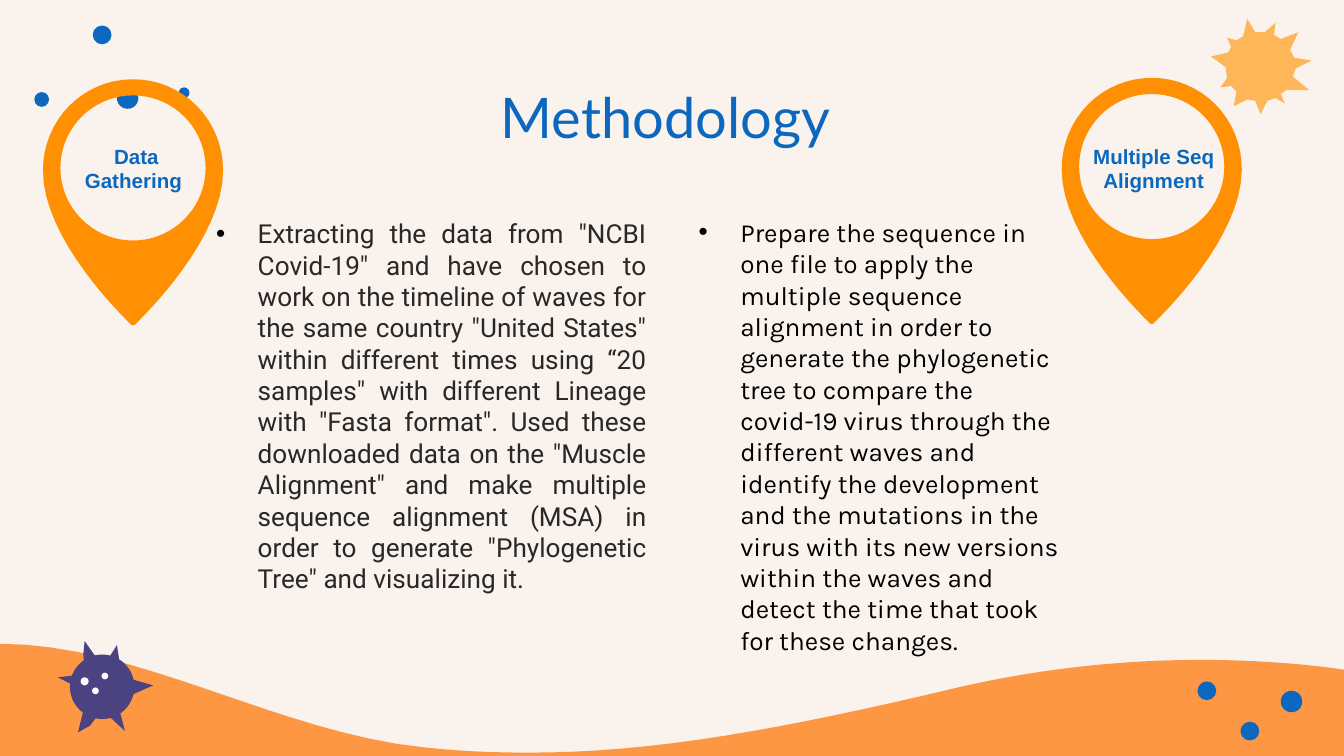
from dataclasses import dataclass
from math import cos, pi, sin

from lxml.etree import SubElement
from pptx import Presentation
from pptx.dml.color import RGBColor as Rgb
from pptx.enum.shapes import MSO_SHAPE as Kind
from pptx.enum.text import MSO_ANCHOR as Anchor, MSO_AUTO_SIZE as Fit, PP_ALIGN as Align
from pptx.oxml.ns import qn
from pptx.util import Inches, Pt

Point = tuple[float, float]

HUES = {
    "cream": "FAF2EC", "wave": "FE9744", "sun": "FFB659", "blue": "0B68BE",
    "virus": "4B4381", "white": "FFFFFF", "pin": "FF9003", "gray": "292828",
    "black": "000000",
}


@dataclass
class Dot:
    x: float
    y: float
    size: float
    hue: str = "blue"


@dataclass
class Label:
    text: str
    x: float
    y: float
    wide: float
    high: float
    font: str
    size: float
    hue: str
    align: Align = Align.CENTER
    bold: bool = False
    bullet: bool = False
    title: bool = False


DOTS = [
    Dot(0.31, 0.74, 0.11), Dot(0.76, 0.26, 0.14), Dot(0.95, 0.73, 0.16),
    Dot(1.37, 0.69, 0.08), Dot(9.3, 5.44, 0.14), Dot(9.61, 5.22, 0.16),
    Dot(8.98, 5.14, 0.14),
]
BODY = Dot(0.76, 5.11, 0.48, "virus")
SPOTS = [
    Dot(0.63, 5.07, 0.06, "white"), Dot(0.78, 5.03, 0.05, "white"),
    Dot(0.71, 5.14, 0.05, "white"),
]
SPIKES = [
    [(0.63, 4.77), (0.62, 4.87), (0.63, 4.98), (0.75, 4.94)],
    [(0.88, 5.25), (0.78, 5.3), (0.93, 5.44)],
    [(0.6, 5.02), (0.43, 5.04), (0.57, 5.11)],
    [(0.63, 5.25), (0.58, 5.45), (0.67, 5.4), (0.73, 5.32)],
    [(0.87, 4.8), (0.8, 4.91), (0.89, 4.93)],
    [(0.93, 5.04), (0.96, 5.18), (1.14, 5.1)],
]
SUN = [
    (9.66, 0.24), (9.6, 0.37), (9.63, 0.43), (9.76, 0.45), (9.64, 0.51),
    (9.62, 0.57), (9.74, 0.67), (9.57, 0.67), (9.53, 0.7), (9.56, 0.77),
    (9.49, 0.73), (9.43, 0.75), (9.38, 0.85), (9.34, 0.75), (9.28, 0.74),
    (9.18, 0.79), (9.2, 0.68), (9.16, 0.64), (9.08, 0.65), (9.13, 0.58),
    (9.12, 0.5), (9.01, 0.42), (9.14, 0.39), (9.16, 0.35), (9.13, 0.28),
    (9.2, 0.3), (9.25, 0.27), (9.28, 0.14), (9.34, 0.24), (9.41, 0.24),
    (9.49, 0.17), (9.48, 0.26), (9.53, 0.29),
]
CREST = [
    (0, 4.79), (1.03, 4.79), (2.07, 5.45), (3.15, 5.56), (3.42, 5.59),
    (3.68, 5.6), (3.94, 5.6), (4.86, 5.6), (5.81, 5.43), (7.15, 5.11),
    (7.81, 4.96), (8.42, 4.91), (8.93, 4.91), (9.51, 4.91), (9.96, 4.97),
    (10.16, 5.01),
]
SIDE = [
    (0, 0), (-0.37, 0), (-0.67, 0.3), (-0.67, 0.68), (-0.67, 1.19),
    (-0.08, 1.76), (-0.01, 1.83),
]
PINS = [(0.99, 0.59), (8.57, 0.58)]

LEFT = (
    'Extracting the data from "NCBI Covid-19" and have chosen to work on the '
    'timeline of waves for the same country "United States" within different '
    'times using “20 samples" with different Lineage with "Fasta format". Used '
    'these downloaded data on the "Muscle Alignment" and make multiple sequence '
    'alignment (MSA) in order to generate "Phylogenetic Tree" and visualizing it.'
)
RIGHT = (
    "Prepare the sequence in one file to apply the multiple sequence alignment "
    "in order to generate the phylogenetic tree to compare the covid-19 virus "
    "through the different waves and identify the development and the mutations "
    "in the virus with its new versions within the waves and detect the time "
    "that took for these changes."
)
LABELS = [
    Label("Methodology ", 1.41, 0.59, 7.18, 0.55, "Lato", 30, "blue", title=True),
    Label("Multiple Seq Alignment", 8, 1.02, 1.17, 0.47, "Arial", 11, "blue", bold=True),
    Label("Data Gathering ", 0.43, 1.02, 1.17, 0.47, "Arial", 11, "blue", bold=True),
    Label(LEFT, 1.51, 1.57, 3.4, 2.93, "Roboto", 14, "gray", Align.JUSTIFY, bullet=True),
    Label(RIGHT, 5.1, 1.56, 2.98, 3.16, "Karla", 14, "black", Align.LEFT, bullet=True),
]


def color(hue: str) -> Rgb:
    return Rgb.from_string(HUES[hue])


def paint(shape, hue: str) -> None:
    shape.shadow.inherit = False
    shape.fill.solid()
    shape.fill.fore_color.rgb = color(hue)
    shape.line.fill.background()


def curve(knots: list[Point], steps: int = 16) -> list[Point]:
    points = [knots[0]]
    for i in range(0, len(knots) - 1, 3):
        for k in range(1, steps + 1):
            t = k / steps
            parts = ((1 - t) ** 3, 3 * t * (1 - t) ** 2, 3 * t * t * (1 - t), t ** 3)
            points.append(tuple(
                sum(w * p[axis] for w, p in zip(parts, knots[i:i + 4])) for axis in (0, 1)
            ))
    return points


def draw_form(slide, rings: list[list[Point]], hue: str) -> None:
    rings = [[(Inches(x), Inches(y)) for x, y in ring] for ring in rings]
    pen = slide.shapes.build_freeform(*rings[0][0])
    for i, ring in enumerate(rings):
        if i:
            pen.move_to(*ring[0])
        pen.add_line_segments(ring[1:], close=True)
    paint(pen.convert_to_shape(), hue)


def draw_dot(slide, dot: Dot) -> None:
    half = dot.size / 2
    shape = slide.shapes.add_shape(
        Kind.OVAL, Inches(dot.x - half), Inches(dot.y - half),
        Inches(dot.size), Inches(dot.size))
    paint(shape, dot.hue)


def draw_pin(slide, x: float, y: float) -> None:
    half = curve(SIDE)
    edge = half + [(-a, b) for a, b in reversed(half[1:])]
    turns = [2 * pi * i / 72 for i in range(72)]
    hole = [(0.54 * cos(t), 0.66 + 0.54 * sin(t)) for t in turns]
    draw_form(slide, [[(x + a, y + b) for a, b in ring] for ring in (edge, hole)], "pin")


def add_bullet(para) -> None:
    props = para._p.get_or_add_pPr()
    props.set("marL", str(Inches(0.31)))
    props.set("indent", str(Inches(-0.31)))
    tint = SubElement(props, qn("a:buClr"))
    SubElement(tint, qn("a:srgbClr"), val=HUES["black"])
    SubElement(props, qn("a:buFont"), typeface="Arial")
    SubElement(props, qn("a:buChar"), char="•")


def draw_label(slide, label: Label) -> None:
    box = slide.shapes.add_textbox(
        Inches(label.x), Inches(label.y), Inches(label.wide), Inches(label.high))
    frame = box.text_frame
    frame.text = label.text
    frame.word_wrap = True
    if label.title:
        frame.vertical_anchor = Anchor.MIDDLE
        frame.margin_top = frame.margin_bottom = Inches(0.1)
    else:
        frame.auto_size = Fit.SHAPE_TO_FIT_TEXT
    para = frame.paragraphs[0]
    para.alignment = label.align
    if label.bullet:
        add_bullet(para)
    font = para.runs[0].font
    font.name = label.font
    font.size = Pt(label.size)
    font.bold = label.bold
    font.color.rgb = color(label.hue)


def main() -> None:
    deck = Presentation()
    deck.slide_width = Inches(10)
    deck.slide_height = Inches(10) * 9 // 16
    slide = deck.slides.add_slide(deck.slide_layouts[6])
    slide.background.fill.solid()
    slide.background.fill.fore_color.rgb = color("cream")

    draw_form(slide, [curve(CREST) + [(10.16, 5.68), (0, 5.68)]], "wave")
    draw_form(slide, [SUN], "sun")
    for spike in SPIKES:
        draw_form(slide, [spike], "virus")
    for dot in [*DOTS, BODY, *SPOTS]:
        draw_dot(slide, dot)
    for x, y in PINS:
        draw_pin(slide, x, y)
    for label in LABELS:
        draw_label(slide, label)
    deck.save("out.pptx")


if __name__ == "__main__":
    main()
